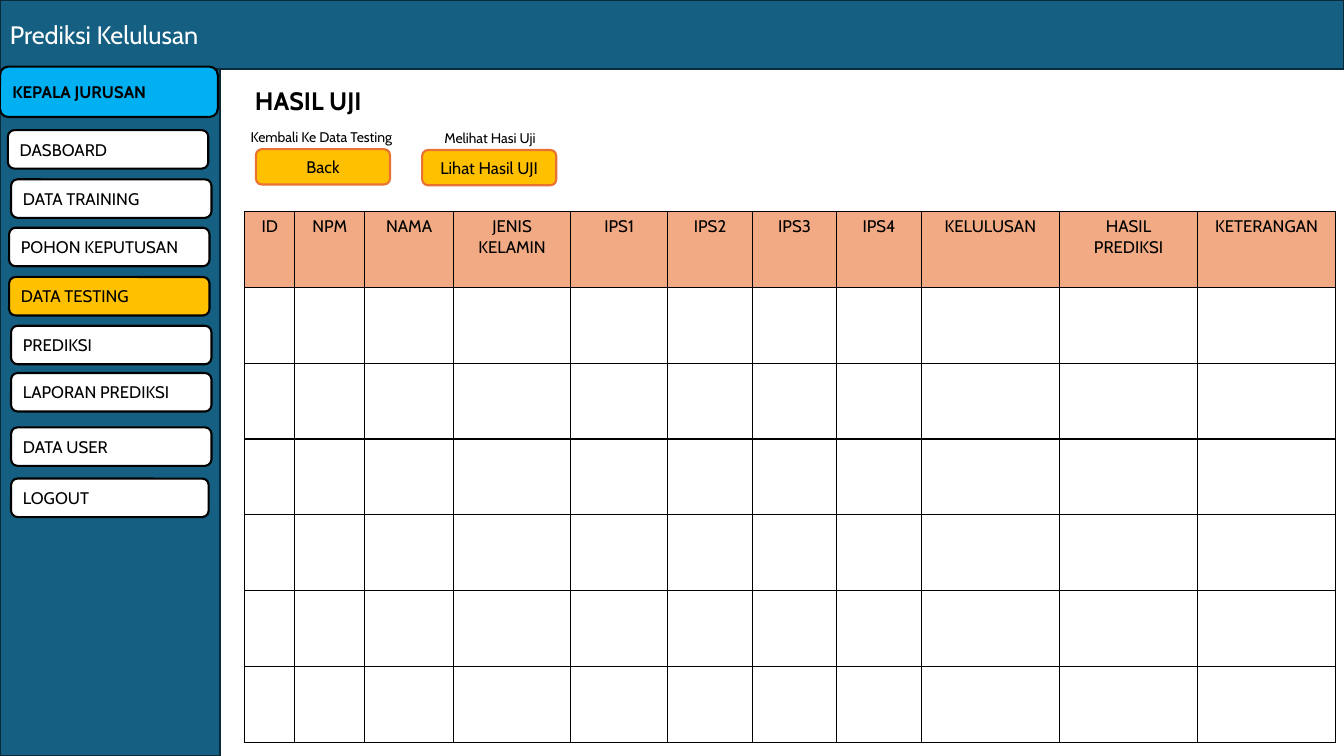
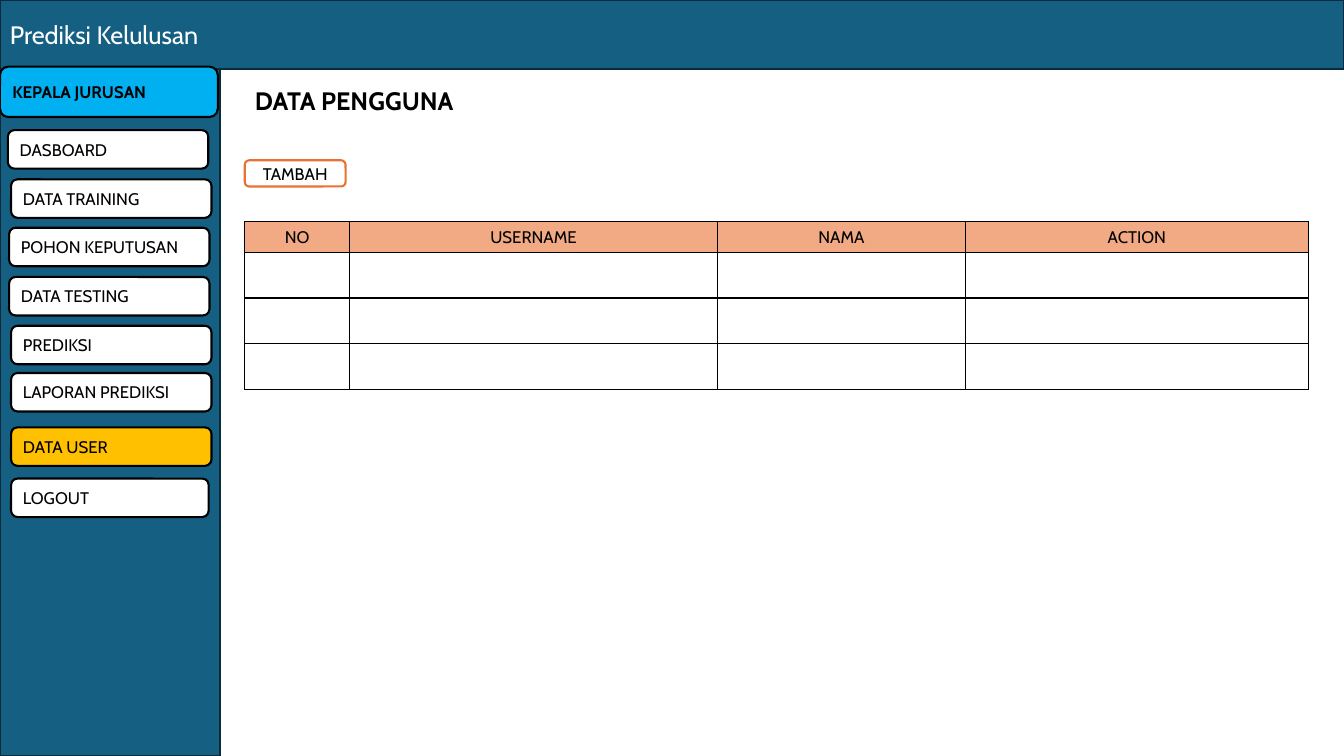
from lxml.etree import SubElement
from pptx import Presentation
from pptx.dml.color import RGBColor
from pptx.enum.shapes import MSO_SHAPE
from pptx.enum.text import MSO_ANCHOR, MSO_AUTO_SIZE, PP_ALIGN
from pptx.oxml.ns import qn
from pptx.util import Cm, Pt

# Shared colours and text formats
TEAL = RGBColor(0x15, 0x60, 0x82)
DARK_TEAL = RGBColor(0x09, 0x2A, 0x39)
SKY = RGBColor(0x00, 0xB0, 0xF0)
AMBER = RGBColor(0xFF, 0xC0, 0x00)
ORANGE = RGBColor(0xE9, 0x71, 0x32)
PEACH = RGBColor(0xF2, 0xAA, 0x84)
WHITE = RGBColor(0xFF, 0xFF, 0xFF)
BLACK = RGBColor(0x00, 0x00, 0x00)

BRAND = {"name": "Cabin", "size": Pt(18), "bold": False}
HEADING = {"name": "Cabin", "size": Pt(18), "bold": True}
ROLE = {"name": "Cabin", "size": Pt(12), "bold": True}
NORMAL = {"name": "Cabin", "size": Pt(12), "bold": False}
CAPTION = {"name": "Cabin", "size": Pt(10), "bold": False}

# Shared measures in centimetres
SLIDE_WIDTH, SLIDE_HEIGHT = 33.87, 19.05
HEADER_HEIGHT = 1.73
SIDEBAR_WIDTH = 5.54
CONTENT_LEFT = 6.17

# Sidebar menu: label, left, top, width
MENU = [
    ("DASBOARD", 0.2, 3.28, 5.05),
    ("DATA TRAINING", 0.28, 4.52, 5.05),
    ("POHON KEPUTUSAN", 0.23, 5.74, 5.05),
    ("DATA TESTING", 0.23, 6.98, 5.05),
    ("PREDIKSI", 0.28, 8.21, 5.05),
    ("LAPORAN PREDIKSI", 0.28, 9.4, 5.05),
    ("DATA USER", 0.28, 10.77, 5.05),
    ("LOGOUT", 0.28, 12.06, 4.98),
]
MENU_HEIGHT = 0.97

# Pages: what differs from slide to slide
PAGES = [
    {
        "heading": "HASIL UJI",
        "active": "DATA TESTING",
        "captions": [
            ("Kembali Ke Data Testing", (6.07, 3.12, 4.32, 0.69)),
            ("Melihat Hasi Uji", (10.95, 3.14, 3.3, 0.69)),
        ],
        "buttons": [
            ("Back", (6.45, 3.76, 3.38, 0.89), AMBER),
            ("Lihat Hasil UJI", (10.64, 3.78, 3.38, 0.89), AMBER),
        ],
        "table_top": 5.33,
        "columns": [
            ("ID", 1.26), ("NPM", 1.76), ("NAMA", 2.24),
            ("JENIS KELAMIN", 2.95), ("IPS1", 2.45), ("IPS2", 2.13),
            ("IPS3", 2.13), ("IPS4", 2.13), ("KELULUSAN", 3.48),
            ("HASIL PREDIKSI", 3.48), ("KETERANGAN", 3.48),
        ],
        "row_heights": [1.91] * 7,
    },
    {
        "heading": "DATA PENGGUNA",
        "active": "DATA USER",
        "captions": [],
        "buttons": [("TAMBAH", (CONTENT_LEFT, 4.04, 2.54, 0.66), WHITE)],
        "table_top": 5.59,
        "columns": [("NO", 2.64), ("USERNAME", 9.27), ("NAMA", 6.25), ("ACTION", 8.64)],
        "row_heights": [0.77] + [1.15] * 3,
    },
]


def write_text(text_frame, text, font_format, color=BLACK, alignment=PP_ALIGN.LEFT):
    paragraph = text_frame.paragraphs[0]
    paragraph.alignment = alignment
    run = paragraph.add_run()
    run.text = text
    for attribute, value in font_format.items():
        setattr(run.font, attribute, value)
    run.font.color.rgb = color


def add_panel(slide, kind, box, fill, line):
    shape = slide.shapes.add_shape(kind, *[Cm(length) for length in box])
    shape.shadow.inherit = False
    shape.fill.solid()
    shape.fill.fore_color.rgb = fill
    shape.line.color.rgb = line
    shape.line.width = Pt(1.5)
    shape.text_frame.vertical_anchor = MSO_ANCHOR.MIDDLE
    return shape


presentation = Presentation()
presentation.slide_width = Cm(SLIDE_WIDTH)
presentation.slide_height = Cm(SLIDE_HEIGHT)
title_only = presentation.slide_layouts[5]

for page in PAGES:
    slide = presentation.slides.add_slide(title_only)

    # Header band and sidebar
    header = add_panel(slide, MSO_SHAPE.RECTANGLE,
                       (0, 0, SLIDE_WIDTH, HEADER_HEIGHT), TEAL, DARK_TEAL)
    write_text(header.text_frame, "Prediksi Kelulusan", BRAND, WHITE)
    add_panel(slide, MSO_SHAPE.RECTANGLE,
              (0, HEADER_HEIGHT, SIDEBAR_WIDTH, SLIDE_HEIGHT - HEADER_HEIGHT),
              TEAL, DARK_TEAL)

    # Role badge and menu, with the current page highlighted
    badge = add_panel(slide, MSO_SHAPE.ROUNDED_RECTANGLE,
                      (0, 1.68, 5.49, 1.27), SKY, BLACK)
    write_text(badge.text_frame, "KEPALA JURUSAN", ROLE)
    for label, left, top, width in MENU:
        fill = AMBER if label == page["active"] else WHITE
        item = add_panel(slide, MSO_SHAPE.ROUNDED_RECTANGLE,
                         (left, top, width, MENU_HEIGHT), fill, BLACK)
        write_text(item.text_frame, label, NORMAL)

    # Page heading
    title = slide.shapes.title
    title.left, title.top = Cm(CONTENT_LEFT), Cm(2.01)
    title.width, title.height = Cm(12.42), Cm(1.02)
    title.text_frame.vertical_anchor = MSO_ANCHOR.TOP
    title.text_frame.auto_size = MSO_AUTO_SIZE.NONE
    write_text(title.text_frame, page["heading"], HEADING)

    # Captions and buttons
    for text, box in page["captions"]:
        caption = slide.shapes.add_textbox(*[Cm(length) for length in box])
        caption.text_frame.word_wrap = True
        write_text(caption.text_frame, text, CAPTION)
    for text, box, fill in page["buttons"]:
        button = add_panel(slide, MSO_SHAPE.ROUNDED_RECTANGLE, box, fill, ORANGE)
        write_text(button.text_frame, text, NORMAL, alignment=PP_ALIGN.CENTER)

    # Table
    columns, row_heights = page["columns"], page["row_heights"]
    table = slide.shapes.add_table(
        len(row_heights), len(columns), Cm(CONTENT_LEFT), Cm(page["table_top"]),
        Cm(sum(width for _, width in columns)), Cm(sum(row_heights))).table
    table.first_row = False
    table.horz_banding = False
    for row, height in zip(table.rows, row_heights):
        row.height = Cm(height)
    for column, (_, width) in zip(table.columns, columns):
        column.width = Cm(width)
    for cell in table.iter_cells():
        properties = cell._tc.get_or_add_tcPr()
        for side in ("a:lnL", "a:lnR", "a:lnT", "a:lnB"):
            border = SubElement(properties, qn(side), w=str(Pt(1)))
            border_fill = SubElement(border, qn("a:solidFill"))
            SubElement(border_fill, qn("a:srgbClr"), val=str(BLACK))
        cell.fill.background()
    for cell, (label, _) in zip(table.rows[0].cells, columns):
        cell.fill.solid()
        cell.fill.fore_color.rgb = PEACH
        write_text(cell.text_frame, label, NORMAL, alignment=PP_ALIGN.CENTER)

presentation.save("out.pptx")
